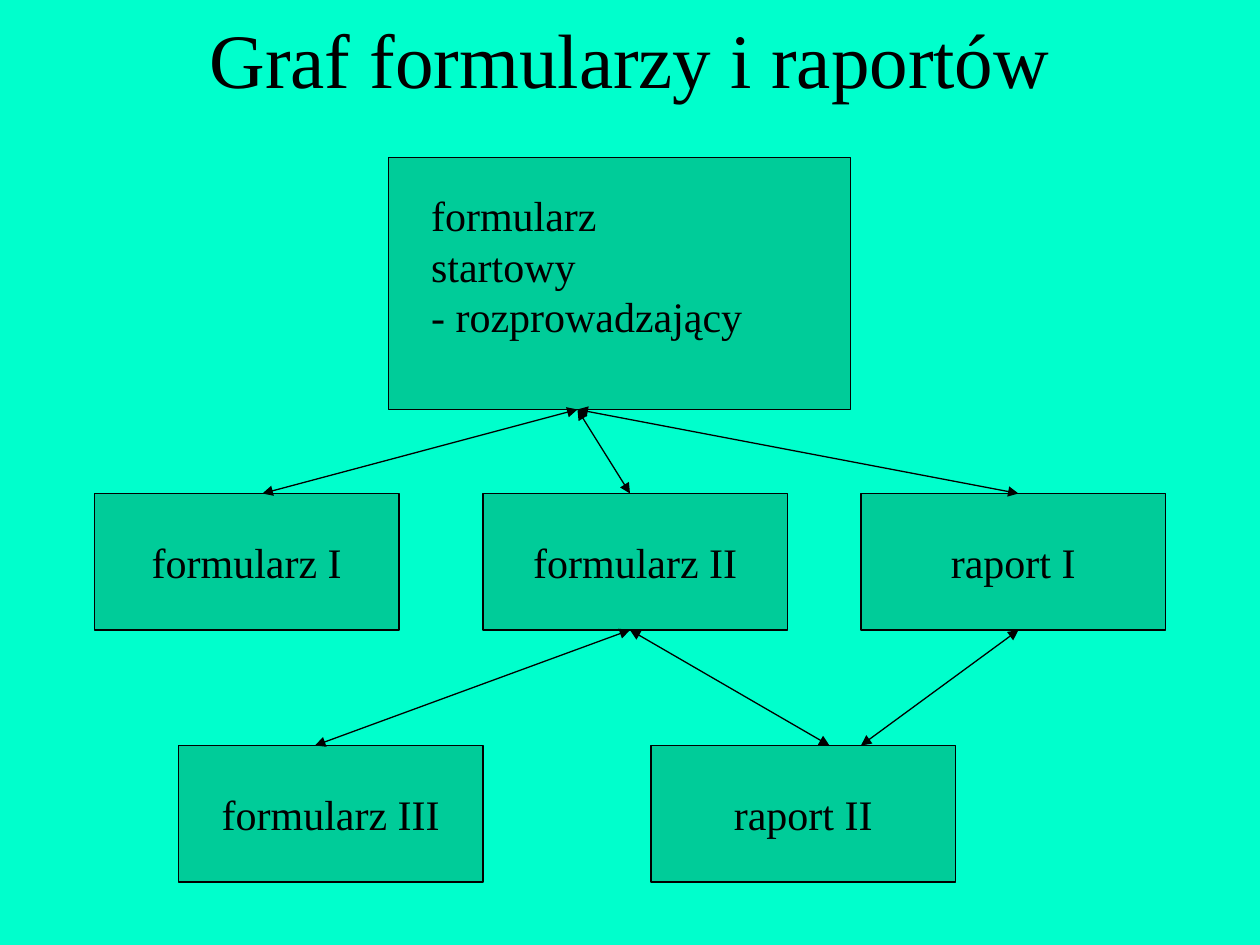
from lxml import etree
from pptx import Presentation
from pptx import util as u
from pptx.dml.color import RGBColor
from pptx.enum import shapes, text
from pptx.oxml.ns import qn

PX = 9525
BACKGROUND = RGBColor(0x00, 0xFF, 0xCC)
BOX_FILL = RGBColor(0x00, 0xCC, 0x99)
INK = RGBColor(0x00, 0x00, 0x00)
FONT = "Times New Roman"
BOX_WIDTH, BOX_HEIGHT = 232, 104
START_BOTTOM, MIDDLE_TOP, LOWER_TOP = 312, 376, 568
MIDDLE_BOTTOM = MIDDLE_TOP + BOX_HEIGHT

NODES = [
    ("formularz I", 72, MIDDLE_TOP),
    ("formularz II", 368, MIDDLE_TOP),
    ("raport I", 656, MIDDLE_TOP),
    ("formularz III", 136, LOWER_TOP),
    ("raport II", 496, LOWER_TOP),
]
ARROWS = [
    (440, START_BOTTOM, 200, MIDDLE_TOP),
    (440, START_BOTTOM, 480, MIDDLE_TOP),
    (440, START_BOTTOM, 776, MIDDLE_TOP),
    (480, MIDDLE_BOTTOM, 240, LOWER_TOP),
    (480, MIDDLE_BOTTOM, 632, LOWER_TOP),
    (776, MIDDLE_BOTTOM, 656, LOWER_TOP),
]


def emu(*lengths):
    return [u.Emu(length * PX) for length in lengths]


def write(frame, words, size, align, anchor):
    frame.text = words
    frame.vertical_anchor = anchor
    para = frame.paragraphs[0]
    para.alignment = align
    para.font.size = u.Pt(size)
    para.font.name = FONT
    para.font.color.rgb = INK


def add_title(page, words):
    title = page.shapes.title
    title.left, title.top, title.width, title.height = emu(72, 0, 816, 88)
    write(title.text_frame, words, 44, text.PP_ALIGN.CENTER, text.MSO_ANCHOR.MIDDLE)


def add_box(page, left, top, width, height, words=""):
    box = page.shapes.add_shape(
        shapes.MSO_SHAPE.RECTANGLE, *emu(left, top, width, height))
    box.shadow.inherit = False
    box.fill.solid()
    box.fill.fore_color.rgb = BOX_FILL
    box.line.color.rgb = INK
    box.line.width = u.Pt(0.75)
    if words:
        box.text_frame.word_wrap = False
        write(box.text_frame, words, 24, text.PP_ALIGN.CENTER, text.MSO_ANCHOR.MIDDLE)


def add_label(page, left, top, width, height, words):
    label = page.shapes.add_textbox(*emu(left, top, width, height))
    label.text_frame.word_wrap = False
    write(label.text_frame, words, 24, text.PP_ALIGN.LEFT, text.MSO_ANCHOR.TOP)


def add_arrow(page, *ends):
    arrow = page.shapes.add_connector(shapes.MSO_CONNECTOR.STRAIGHT, *emu(*ends))
    arrow.line.color.rgb = INK
    arrow.line.width = u.Pt(0.75)
    line = arrow.line._get_or_add_ln()
    for end in ("a:headEnd", "a:tailEnd"):
        etree.SubElement(line, qn(end), type="triangle")
    etree.SubElement(arrow._element.spPr, qn("a:effectLst"))


def main():
    deck = Presentation()
    deck.slide_width, deck.slide_height = emu(960, 720)
    page = deck.slides.add_slide(deck.slide_layouts[5])
    page.background.fill.solid()
    page.background.fill.fore_color.rgb = BACKGROUND
    add_title(page, "Graf formularzy i raportów")
    add_box(page, 296, 120, 352, 192)
    add_label(page, 319, 140, 263, 86, "formularz startowy\v- rozprowadzający")
    for words, left, top in NODES:
        add_box(page, left, top, BOX_WIDTH, BOX_HEIGHT, words)
    for ends in ARROWS:
        add_arrow(page, *ends)
    deck.save("out.pptx")


if __name__ == "__main__":
    main()
